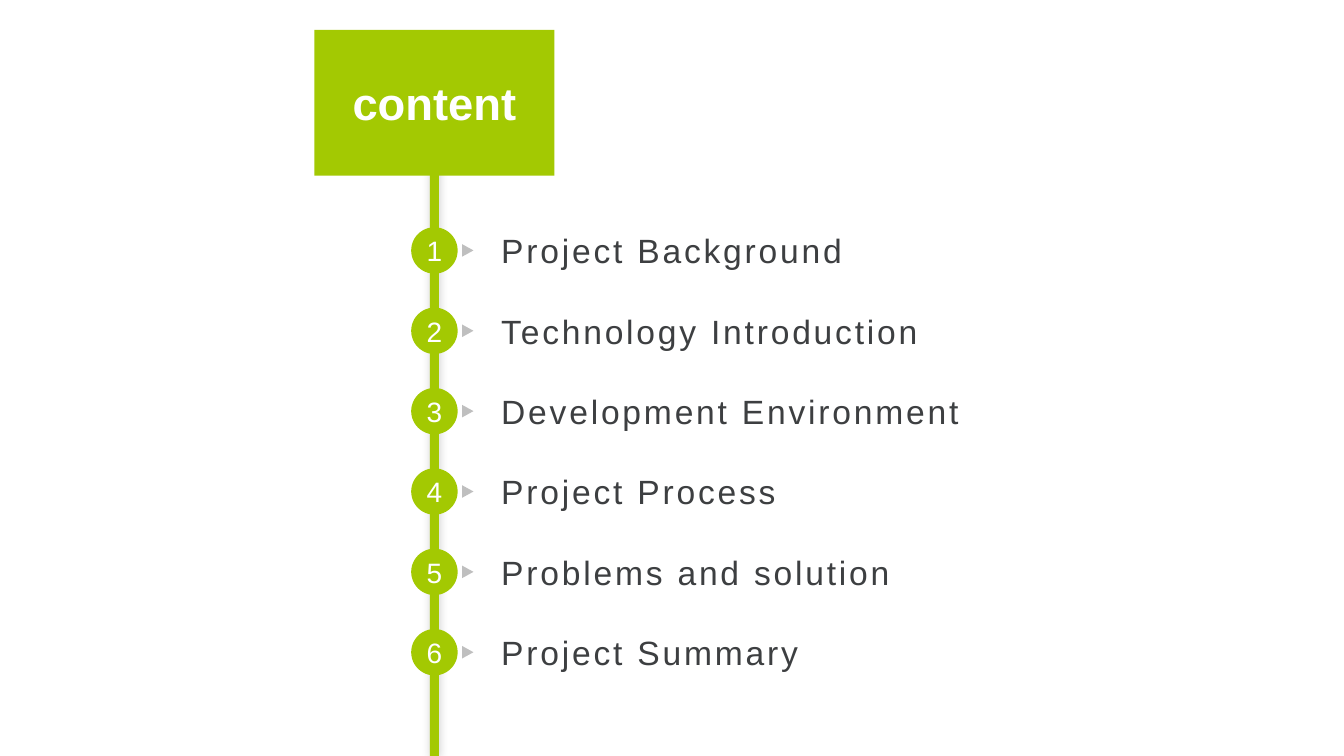
from lxml import etree
from pptx import Presentation
from pptx.dml.color import RGBColor
from pptx.enum.shapes import MSO_SHAPE
from pptx.enum.text import MSO_ANCHOR, MSO_AUTO_SIZE, PP_ALIGN
from pptx.oxml import parse_xml
from pptx.oxml.ns import nsdecls, qn
from pptx.util import Pt

OVAL = MSO_SHAPE.OVAL
BAR = MSO_SHAPE.RECTANGLE
ARROW = MSO_SHAPE.ISOSCELES_TRIANGLE
MIDDLE = MSO_ANCHOR.MIDDLE
NO_FIT = MSO_AUTO_SIZE.NONE
LEFT, CENTER = PP_ALIGN.LEFT, PP_ALIGN.CENTER

COLORS = {"green": "A3C902", "gray": "BFBFBF", "ink": "3D3F41", "white": "FFFFFF"}
FONT = "Arial"
TOPICS = [
    "Project Background",
    "Technology Introduction",
    "Development Environment",
    "Project Process",
    "Problems and solution",
    "Project Summary",
]
WIDTH, HEIGHT = 960, 540
AXIS = 310.3
FIRST, STEP = 178.9, 57.4


def color(name):
    return RGBColor.from_string(COLORS[name])


def write(shape, text, size, ink, align=CENTER, bold=False, inset=0):
    """Put one line of text in a shape and return its run."""
    frame = shape.text_frame
    frame.auto_size = NO_FIT
    frame.word_wrap = True
    frame.vertical_anchor = MIDDLE
    frame.margin_left = frame.margin_right = Pt(inset)
    frame.margin_top = frame.margin_bottom = Pt(0)
    line = frame.paragraphs[0]
    line.alignment = align
    run = line.add_run()
    run.text = text
    run.font.name = FONT
    run.font.size = Pt(size)
    run.font.bold = bold
    run.font.color.rgb = color(ink)
    return run


def add_form(slide, kind, x, y, width, height, fill):
    """Add a plain filled shape centred on x, y."""
    form = slide.shapes.add_shape(
        kind, Pt(x - width / 2), Pt(y - height / 2), Pt(width), Pt(height))
    form.shadow.inherit = False
    form.fill.solid()
    form.fill.fore_color.rgb = color(fill)
    form.line.fill.background()
    return form


def add_stem(slide):
    """Add the upright bar with its soft shadow."""
    top = 74.9
    stem = add_form(slide, BAR, AXIS, (top + HEIGHT) / 2, 6.3, HEIGHT - top, "green")
    effects = stem._element.spPr.find(qn("a:effectLst"))
    glow = etree.SubElement(effects, qn("a:outerShdw"), blurRad=str(Pt(6)),
                            dist="0", dir="13500000", rotWithShape="0")
    tint = etree.SubElement(glow, qn("a:srgbClr"), val="000000")
    etree.SubElement(tint, qn("a:alpha"), val="20000")


def set_title(slide, text):
    """Turn the title into an oval in front of the stem."""
    title = slide.shapes.title
    width, height = 171.4, 104
    title.left, title.top = Pt(AXIS - width / 2), Pt(21.4)
    title.width, title.height = Pt(width), Pt(height)
    title._element.spPr.append(parse_xml(
        f'<a:prstGeom {nsdecls("a")} prst="ellipse"><a:avLst/></a:prstGeom>'))
    title.fill.solid()
    title.fill.fore_color.rgb = color("green")
    write(title, text, 32.4, "white", bold=True)
    slide.shapes._spTree.append(title._element)


def add_topic(slide, number, text, y):
    disc = add_form(slide, OVAL, AXIS, y, 33.2, 33.2, "green")
    write(disc, str(number), 20, "white", inset=3)
    height = 50.8
    label = slide.shapes.add_textbox(
        Pt(358), Pt(y - height / 2), Pt(420), Pt(height))
    run = write(label, text, 24, "ink", align=LEFT)
    run.font._element.set("spc", "200")
    arrow = add_form(slide, ARROW, 334.1, y, 9, 8.2, "gray")
    arrow.rotation = 90


def main():
    deck = Presentation()
    deck.slide_width, deck.slide_height = Pt(WIDTH), Pt(HEIGHT)
    slide = deck.slides.add_slide(deck.slide_layouts[5])
    add_stem(slide)
    set_title(slide, "content")
    for index, topic in enumerate(TOPICS):
        add_topic(slide, index + 1, topic, FIRST + index * STEP)
    deck.save("out.pptx")


if __name__ == "__main__":
    main()
